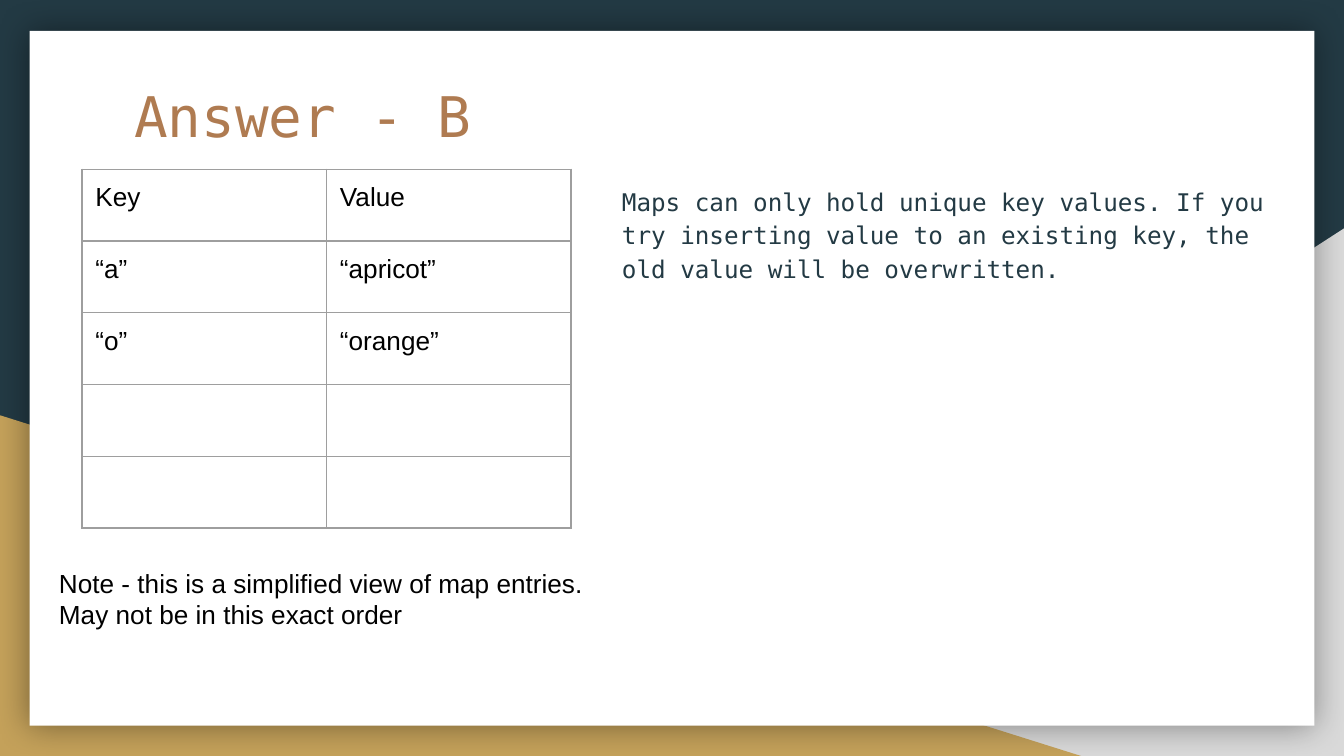
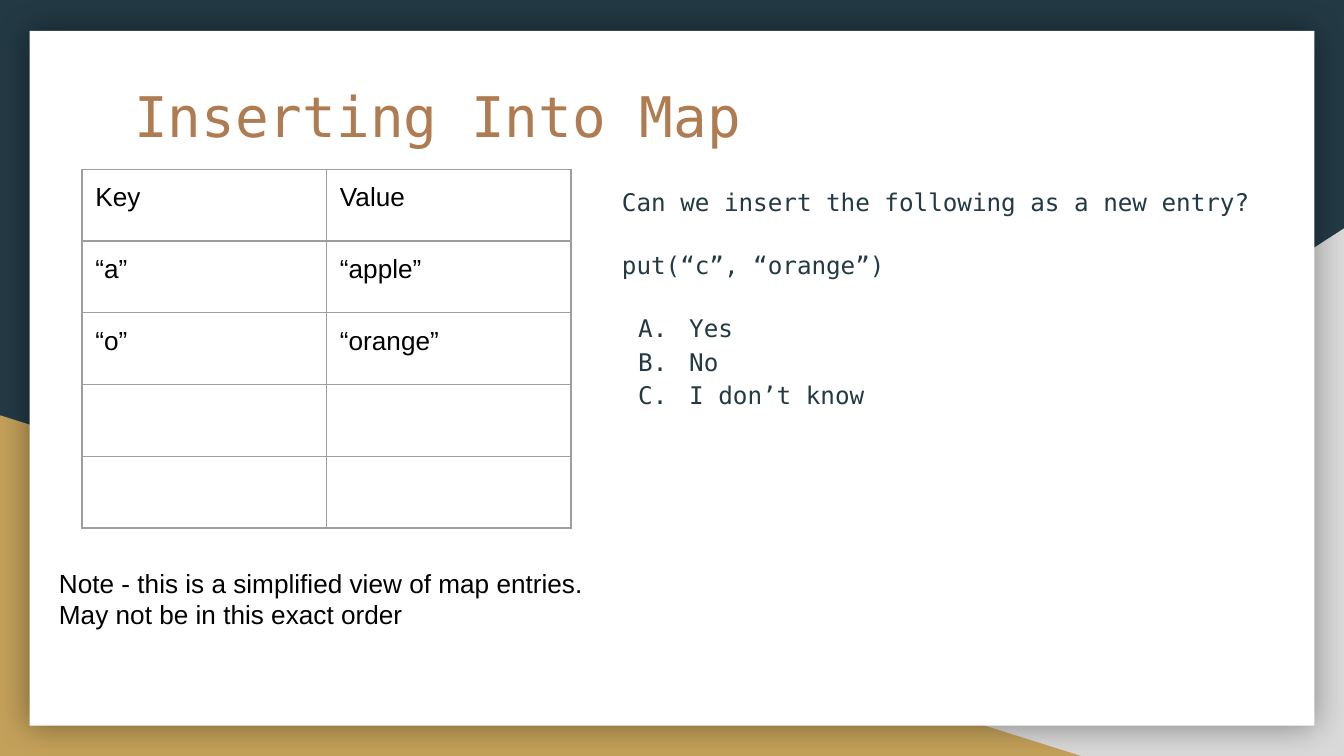
from lxml.etree import SubElement
from pptx import Presentation
from pptx.dml.color import RGBColor
from pptx.enum.shapes import MSO_SHAPE as SHAPE
from pptx.oxml import parse_xml
from pptx.oxml.ns import nsdecls, qn
from pptx.util import Inches, Pt

# Content
NOTE = ("Note - this is a simplified view of map entries. "
        "May not be in this exact order")
SLIDES = [
    {
        "title": "Answer - B",
        "entries": [("“a”", "“apricot”"), ("“o”", "“orange”")],
        "body": ["Maps can only hold unique key values. If you try inserting "
                 "value to an existing key, the old value will be overwritten."],
        "choices": [],
    },
    {
        "title": "Inserting Into Map",
        "entries": [("“a”", "“apple”"), ("“o”", "“orange”")],
        "body": ["Can we insert the following as a new entry?",
                 "put(“c”, “orange”)"],
        "choices": ["Yes", "No", "I don’t know"],
    },
]
HEADER = ("Key", "Value")

# Style
NAVY = RGBColor(0x23, 0x3A, 0x44)
GOLD = RGBColor(0xC4, 0xA1, 0x5A)
GRAY = RGBColor(0xD9, 0xD9, 0xD9)
WHITE = RGBColor(0xFF, 0xFF, 0xFF)
BROWN = RGBColor(0xAF, 0x7B, 0x51)
BLACK = RGBColor(0x00, 0x00, 0x00)
BORDER = RGBColor(0x9E, 0x9E, 0x9E)
MONO, SANS = "DejaVu Sans Mono", "Arial"
INSET = Inches(0.1)
TABLE_ROWS, TABLE_W, TABLE_H = 5, Inches(3.64), Inches(2.67)


def set_font(p, name, size, color):
    p.font.name, p.font.size = name, Pt(size)
    p.font.color.rgb = color


def set_insets(target):
    target.margin_left = target.margin_right = INSET
    target.margin_top = target.margin_bottom = INSET


def add_block(slide, shape, box, color):
    sp = slide.shapes.add_shape(shape, *map(Inches, box))
    sp.shadow.inherit = False
    sp.fill.solid()
    sp.fill.fore_color.rgb = color
    sp.line.fill.background()
    return sp


def add_text(slide, box, lines, name, size, color):
    tf = slide.shapes.add_textbox(*map(Inches, box)).text_frame
    tf.word_wrap = True
    set_insets(tf)
    tf.text = "\n".join(lines)
    for p in tf.paragraphs:
        set_font(p, name, size, color)
    return tf


def add_backdrop(slide):
    slide.background.fill.solid()
    slide.background.fill.fore_color.rgb = NAVY
    corner = add_block(slide, SHAPE.RIGHT_TRIANGLE, (3.92, 1.7, 6.08, 3.93), GRAY)
    corner._element.spPr.find(qn("a:xfrm")).set("flipH", "1")
    add_block(slide, SHAPE.RIGHT_TRIANGLE, (0, 3.09, 8.06, 2.54), GOLD)
    # White card with a soft shadow all round
    card = add_block(slide, SHAPE.RECTANGLE, (0.22, 0.23, 9.56, 5.17), WHITE)
    effects = card._element.spPr.find(qn("a:effectLst"))
    effects.append(parse_xml(
        f'<a:outerShdw {nsdecls("a")} blurRad="{Pt(18)}" dist="0" dir="0" '
        'algn="ctr" rotWithShape="0"><a:srgbClr val="000000">'
        '<a:alpha val="40000"/></a:srgbClr></a:outerShdw>'))


def add_body(slide, body, choices):
    tf = add_text(slide, (4.53, 1.26, 5.13, 3.74), body + choices, MONO, 13, NAVY)
    for i, p in enumerate(tf.paragraphs):
        p.line_spacing = 1.15
        # Gap before each plain paragraph and before the list as a whole
        if 0 < i <= len(body):
            p.space_before = Pt(16)
        if i >= len(body):
            pPr = p._p.get_or_add_pPr()
            pPr.set("marL", str(Inches(0.5)))
            pPr.set("indent", str(Inches(-0.38)))
            number = parse_xml(f'<a:buAutoNum {nsdecls("a")} type="alphaUcPeriod"/>')
            pPr.insert_element_before(number, "a:tabLst", "a:defRPr", "a:extLst")


def set_borders(cell):
    tcPr = cell._tc.get_or_add_tcPr()
    for i, side in enumerate(("lnL", "lnR", "lnT", "lnB")):
        ln = parse_xml(f'<a:{side} {nsdecls("a")} w="{Pt(0.75)}"/>')
        fill = SubElement(ln, qn("a:solidFill"))
        SubElement(fill, qn("a:srgbClr")).set("val", str(BORDER))
        tcPr.insert(i, ln)


def add_map_table(slide, entries):
    cols = len(HEADER)
    table = slide.shapes.add_table(TABLE_ROWS, cols, Inches(0.61), Inches(1.26),
                                   TABLE_W, TABLE_H).table
    table.first_row = table.horz_banding = False
    filled = [HEADER] + entries
    blank = [("",) * cols] * (TABLE_ROWS - len(filled))
    for row, texts in zip(table.rows, filled + blank):
        for cell, text in zip(row.cells, texts):
            cell.text = text
            set_insets(cell)
            cell.fill.background()
            set_borders(cell)
            set_font(cell.text_frame.paragraphs[0], SANS, 14, BLACK)


def main():
    prs = Presentation()
    prs.slide_width = Inches(10)
    prs.slide_height = prs.slide_width * 9 // 16
    for content in SLIDES:
        slide = prs.slides.add_slide(prs.slide_layouts[6])
        add_backdrop(slide)
        add_text(slide, (0.9, 0.51, 8.21, 1.04), [content["title"]], MONO, 30, BROWN)
        add_body(slide, content["body"], content["choices"])
        add_map_table(slide, content["entries"])
        add_text(slide, (0.34, 4.12, 4.19, 0.9), [NOTE], SANS, 14, BLACK)
    prs.save("out.pptx")


if __name__ == "__main__":
    main()
